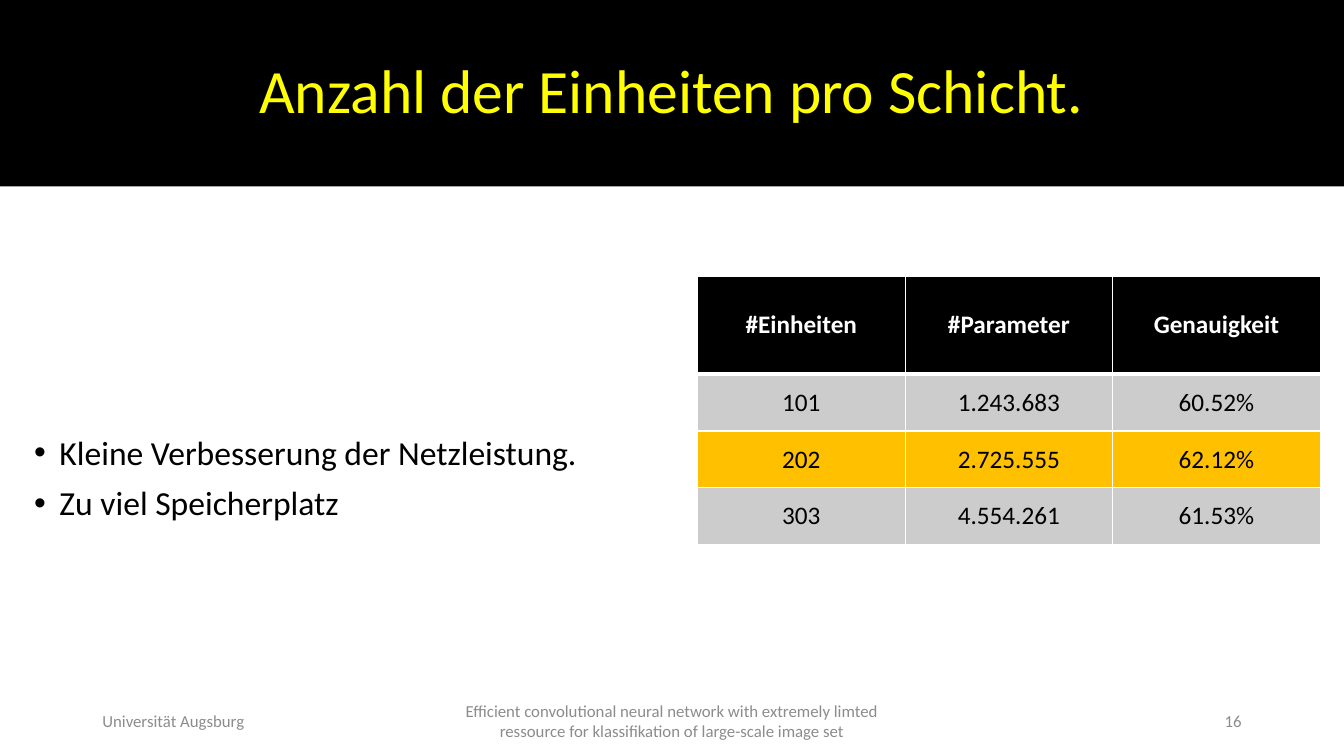
from dataclasses import dataclass

from lxml.etree import SubElement
from pptx import Presentation
from pptx.dml.color import RGBColor
from pptx.enum.shapes import MSO_SHAPE
from pptx.enum.text import MSO_ANCHOR as Anchor, PP_ALIGN as Align
from pptx.oxml.ns import qn
from pptx.util import Cm, Pt


@dataclass(frozen=True)
class Theme:
    font: str = "Calibri"
    black: str = "000000"
    white: str = "FFFFFF"
    yellow: str = "FFFF00"
    band: str = "CCCCCC"
    highlight: str = "FFC000"
    muted: str = "8C8C8C"
    title_size: int = 44
    body_size: int = 24
    table_size: int = 18
    footer_size: int = 12


@dataclass(frozen=True)
class Box:
    """Position and size in centimetres."""
    left: float
    top: float
    width: float
    height: float

    def lengths(self) -> tuple:
        return Cm(self.left), Cm(self.top), Cm(self.width), Cm(self.height)


@dataclass(frozen=True)
class FooterPart:
    text: str
    left: float
    width: float
    align: Align


@dataclass(frozen=True)
class TableRow:
    values: tuple
    height: float
    fill: str


THEME = Theme()
TITLE_BOX = Box(0, 0, 33.87, 4.7)
BODY_BOX = Box(0.61, 6.96, 16.03, 10.24)
TABLE_LEFT, TABLE_TOP, COLUMN_WIDTH = 17.58, 6.96, 5.23
FOOTER_TOP, FOOTER_HEIGHT = 17.65, 1.01

TITLE = "Anzahl der Einheiten pro Schicht."
REMARKS = ("Kleine Verbesserung der Netzleistung.", "Zu viel Speicherplatz")
ROWS = (
    TableRow(("#Einheiten", "#Parameter", "Genauigkeit"), 2.47, THEME.black),
    TableRow(("101", "1.243.683", "60.52%"), 1.43, THEME.band),
    TableRow(("202", "2.725.555", "62.12%"), 1.43, THEME.highlight),
    TableRow(("303", "4.554.261", "61.53%"), 1.43, THEME.band),
)
FOOTER = (
    FooterPart("Universität Augsburg", 2.33, 7.62, Align.LEFT),
    FooterPart("Efficient convolutional neural network with extremely limted "
               "ressource for klassifikation of large-scale image set",
               11.22, 11.43, Align.CENTER),
    FooterPart("16", 23.92, 7.62, Align.RIGHT),
)


def style(paragraph, size: int, color: str, align: Align, bold: bool = False) -> None:
    paragraph.alignment = align
    for run in paragraph.runs:
        run.font.name = THEME.font
        run.font.size = Pt(size)
        run.font.bold = bold
        run.font.color.rgb = RGBColor.from_string(color)


def add_title(slide) -> None:
    banner = slide.shapes.add_shape(MSO_SHAPE.RECTANGLE, *TITLE_BOX.lengths())
    banner.shadow.inherit = False
    banner.fill.solid()
    banner.fill.fore_color.rgb = RGBColor.from_string(THEME.black)
    banner.line.fill.background()
    frame = banner.text_frame
    frame.text = TITLE
    frame.word_wrap = True
    frame.vertical_anchor = Anchor.MIDDLE
    frame.paragraphs[0].line_spacing = 0.9
    style(frame.paragraphs[0], THEME.title_size, THEME.yellow, Align.CENTER)


def add_text(slide, box: Box, text: str):
    frame = slide.shapes.add_textbox(*box.lengths()).text_frame
    frame.word_wrap = True
    frame.vertical_anchor = Anchor.MIDDLE
    frame.text = text
    return frame


def add_remarks(slide) -> None:
    frame = add_text(slide, BODY_BOX, "\n".join(REMARKS))
    for index, remark in enumerate(frame.paragraphs):
        props = remark._p.get_or_add_pPr()
        props.set("marL", str(Cm(0.64)))
        props.set("indent", str(-Cm(0.64)))
        SubElement(props, qn("a:buFont")).set("typeface", "Arial")
        SubElement(props, qn("a:buChar")).set("char", "•")
        remark.line_spacing = 0.9
        remark.space_before = Pt(10 if index else 0)
        style(remark, THEME.body_size, THEME.black, Align.LEFT)


def set_border(cell, side: str, width: int) -> None:
    line = SubElement(cell._tc.get_or_add_tcPr(), qn(f"a:ln{side}"))
    line.set("w", str(Pt(width)))
    fill = SubElement(line, qn("a:solidFill"))
    SubElement(fill, qn("a:srgbClr")).set("val", THEME.white)


def add_results(slide) -> None:
    columns = len(ROWS[0].values)
    box = Box(TABLE_LEFT, TABLE_TOP, columns * COLUMN_WIDTH,
              sum(row.height for row in ROWS))
    table = slide.shapes.add_table(len(ROWS), columns, *box.lengths()).table
    for column in table.columns:
        column.width = Cm(COLUMN_WIDTH)
    for r, row in enumerate(ROWS):
        table.rows[r].height = Cm(row.height)
        header = r == 0
        # The rule between header and data is thicker than the others
        borders = {"L": 1, "R": 1, "T": 3 if r == 1 else 1, "B": 3 if header else 1}
        for c, value in enumerate(row.values):
            cell = table.cell(r, c)
            cell.text = value
            cell.vertical_anchor = Anchor.MIDDLE
            for side, width in borders.items():
                set_border(cell, side, width)
            cell.fill.solid()
            cell.fill.fore_color.rgb = RGBColor.from_string(row.fill)
            style(cell.text_frame.paragraphs[0], THEME.table_size,
                  THEME.white if header else THEME.black, Align.CENTER, header)


def add_footer(slide) -> None:
    for part in FOOTER:
        box = Box(part.left, FOOTER_TOP, part.width, FOOTER_HEIGHT)
        frame = add_text(slide, box, part.text)
        style(frame.paragraphs[0], THEME.footer_size, THEME.muted, part.align)


def main() -> None:
    deck = Presentation()
    deck.slide_width, deck.slide_height = Cm(33.87), Cm(19.05)
    slide = deck.slides.add_slide(deck.slide_layouts[6])
    # Heading, remarks, results table and footer
    add_title(slide)
    add_remarks(slide)
    add_results(slide)
    add_footer(slide)
    deck.save("out.pptx")


if __name__ == "__main__":
    main()
